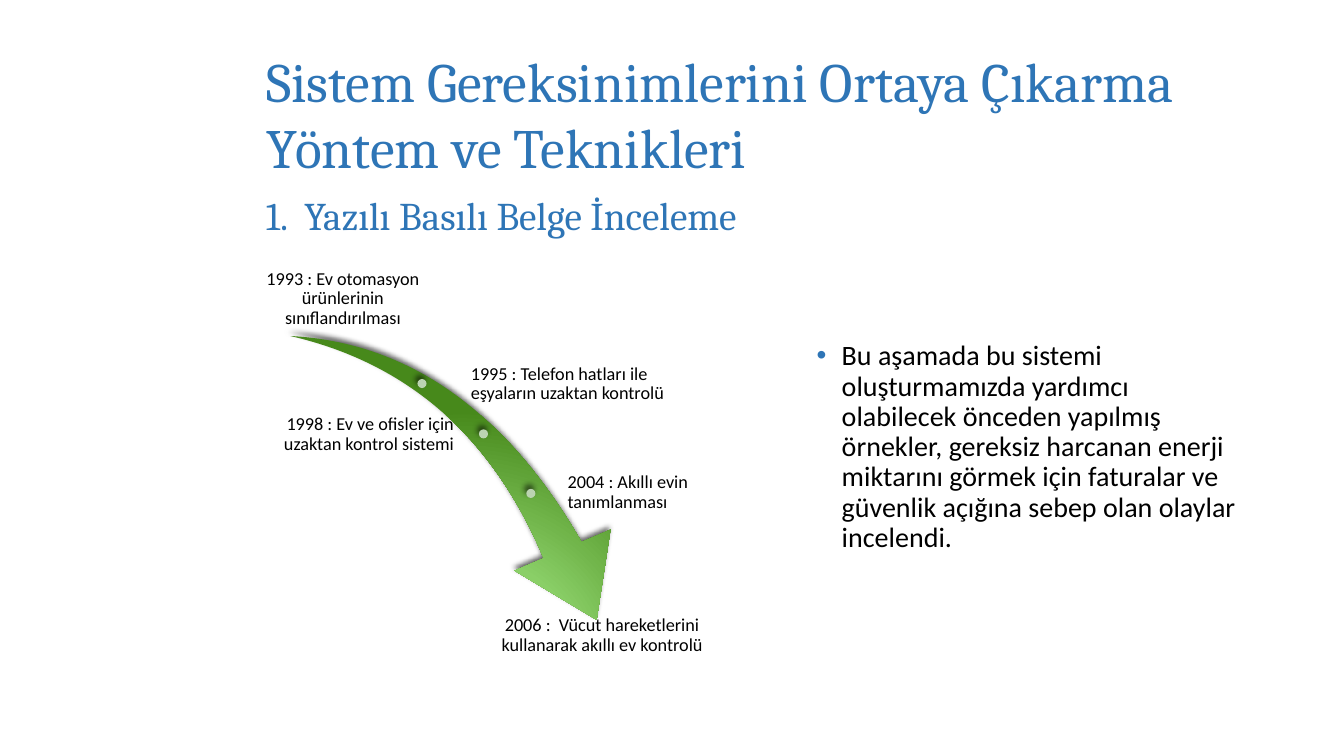
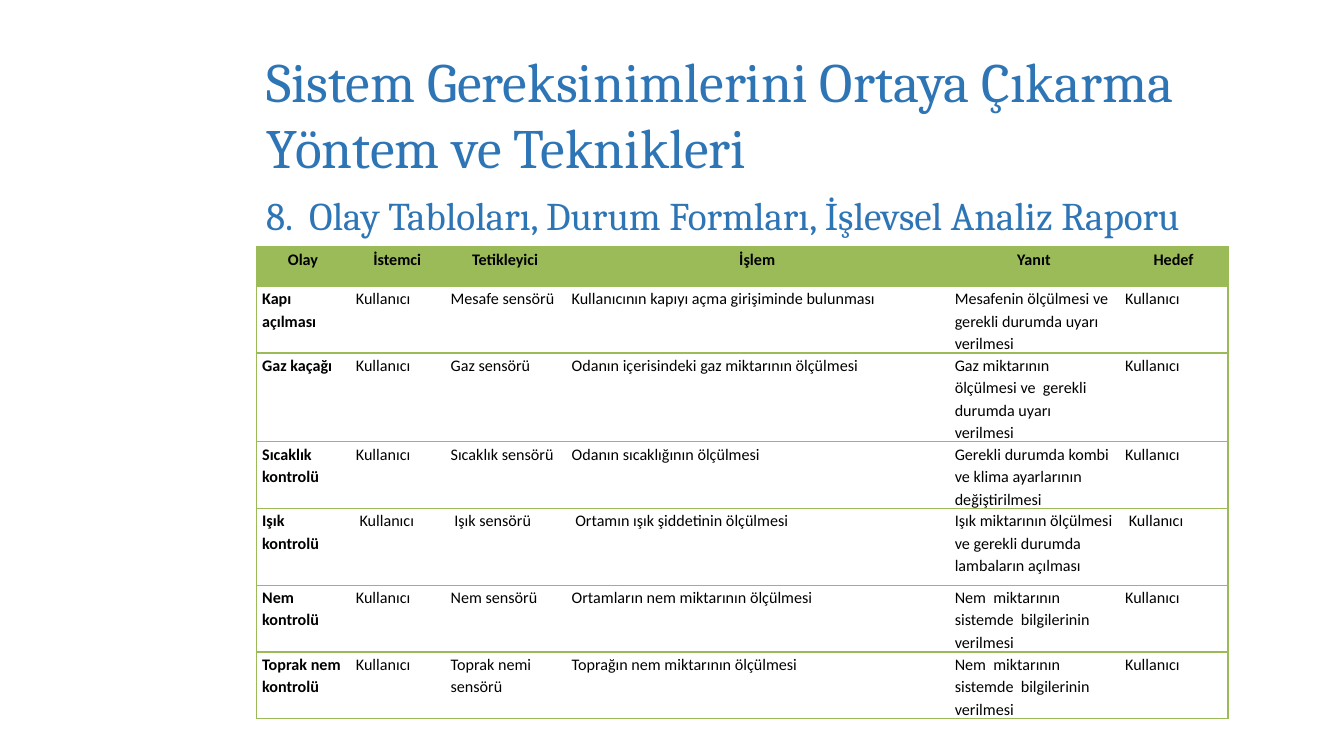
from pptx import Presentation
from pptx.dml.color import RGBColor as RGB
from pptx.enum.shapes import MSO_SHAPE as SHAPE
from pptx.enum.text import MSO_ANCHOR as ANCHOR, PP_ALIGN as ALIGN
from pptx.oxml import parse_xml
from pptx.oxml.ns import nsdecls, qn
from pptx.util import Inches, Pt

COLORS = {"blue": "2E75B6", "black": "000000", "green": "9BBB59", "dot": "BBD3B1"}
FADE = [(0, "B7DDA7"), (46, "8ACF67"), (100, "47891B")]
HEAD, BODY = "Cambria", "Calibri"

TITLE = "Sistem Gereksinimlerini Ortaya Çıkarma Yöntem ve Teknikleri"
SUBS = [
    ("1.  Yazılı Basılı Belge İnceleme", 5.2),
    ("8.  Olay Tabloları, Durum Formları, İşlevsel Analiz Raporu", 9.88),
]
# text, left, top, width, alignment, anchor
EVENTS = [
    ("1993 : Ev otomasyon ürünlerinin sınıflandırılması",
     2.56, 2.62, 1.68, ALIGN.CENTER, ANCHOR.BOTTOM),
    ("1995 : Telefon hatları ile eşyaların uzaktan kontrolü",
     4.65, 3.48, 2.46, ALIGN.LEFT, ANCHOR.MIDDLE),
    ("1998 : Ev ve ofisler için uzaktan kontrol sistemi",
     2.56, 3.98, 1.96, ALIGN.RIGHT, ANCHOR.MIDDLE),
    ("2004 : Akıllı evin tanımlanması",
     5.61, 4.56, 1.5, ALIGN.LEFT, ANCHOR.MIDDLE),
    ("2006 :  Vücut hareketlerini kullanarak akıllı ev kontrolü",
     4.83, 6.09, 2.28, ALIGN.CENTER, ANCHOR.TOP),
]
DOTS = [(4.14, 3.76), (4.75, 4.26), (5.22, 4.85)]
NOTE = ("Bu aşamada bu sistemi oluşturmamızda yardımcı olabilecek önceden "
        "yapılmış örnekler, gereksiz harcanan enerji miktarını görmek için "
        "faturalar ve güvenlik açığına sebep olan olaylar incelendi.")

USER = "Kullanıcı"
ROWS = [
    ("Olay", "İstemci", "Tetikleyici", "İşlem", "Yanıt", "Hedef"),
    ("Kapı açılması", USER, "Mesafe sensörü",
     "Kullanıcının kapıyı açma girişiminde bulunması",
     "Mesafenin ölçülmesi ve gerekli durumda uyarı verilmesi", USER),
    ("Gaz kaçağı", USER, "Gaz sensörü",
     "Odanın içerisindeki gaz miktarının ölçülmesi",
     "Gaz miktarının ölçülmesi ve  gerekli durumda uyarı verilmesi", USER),
    ("Sıcaklık kontrolü", USER, "Sıcaklık sensörü",
     "Odanın sıcaklığının ölçülmesi",
     "Gerekli durumda kombi ve klima ayarlarının değiştirilmesi", USER),
    ("Işık kontrolü", "\u00a0" + USER, "\u00a0Işık sensörü",
     "\u00a0Ortamın ışık şiddetinin ölçülmesi",
     "Işık miktarının ölçülmesi ve gerekli durumda lambaların açılması",
     "\u00a0" + USER),
    ("Nem kontrolü", USER, "Nem sensörü",
     "Ortamların nem miktarının ölçülmesi",
     "Nem  miktarının sistemde  bilgilerinin verilmesi", USER),
    ("Toprak nem kontrolü", USER, "Toprak nemi sensörü",
     "Toprağın nem miktarının ölçülmesi",
     "Nem  miktarının sistemde  bilgilerinin verilmesi", USER),
]
WIDTHS = [0.93, 0.94, 1.2, 3.8, 1.69, 1.08]
HEIGHTS = [0.39, 0.61, 0.61, 0.61, 0.76, 0.61, 0.61]


def rgb(name):
    """Look up a named colour."""
    return RGB.from_string(COLORS[name])


def style(para, size, font=BODY, color="black", bold=False,
          align=ALIGN.LEFT, line=0.9, before=0, after=0):
    """Set the spacing of a paragraph and the look of its runs."""
    para.alignment, para.line_spacing = align, line
    para.space_before, para.space_after = Pt(before), Pt(after)
    for run in para.runs:
        run.font.size, run.font.name, run.font.bold = Pt(size), font, bold
        run.font.color.rgb = rgb(color)


def write(slide, text, box, size, anchor=ANCHOR.TOP, inset=None, **look):
    """Add a wrapped text box and return its paragraph."""
    frame = slide.shapes.add_textbox(*map(Inches, box)).text_frame
    frame.word_wrap, frame.vertical_anchor = True, anchor
    if inset is not None:
        frame.margin_left = frame.margin_right = Inches(inset)
        frame.margin_top = frame.margin_bottom = Inches(inset)
    frame.text = text
    para = frame.paragraphs[0]
    style(para, size, **look)
    return para


def start(deck, sub, width):
    """Add a slide with the shared title and its own subtitle."""
    slide = deck.slides.add_slide(deck.slide_layouts[6])
    write(slide, TITLE, (2.54, 0.4, 9.88, 1.45), 39.6, ANCHOR.MIDDLE,
          font=HEAD, color="blue", line=1.0)
    write(slide, sub, (2.54, 1.9, width, 0.66), 28,
          font=HEAD, color="blue", before=8.4)
    return slide


def shade(slide, kind, box, blur, dist):
    """Add an unlined shape with a soft shadow."""
    shape = slide.shapes.add_shape(kind, *map(Inches, box))
    shape.line.fill.background()
    shape.shadow.inherit = False
    shape._element.spPr.find(qn("a:effectLst")).append(parse_xml(
        f'<a:outerShdw {nsdecls("a")} blurRad="{Pt(blur)}" dist="{Pt(dist)}" '
        f'dir="{245 * 60000}"><a:srgbClr val="{COLORS["black"]}">'
        '<a:alpha val="60000"/></a:srgbClr></a:outerShdw>'))
    return shape


def fade(shape):
    """Fill a shape with the round green gradient."""
    shape.fill.background()
    props = shape._element.spPr
    stops = "".join(f'<a:gs pos="{pos * 1000}"><a:srgbClr val="{tone}"/></a:gs>'
                    for pos, tone in FADE)
    props.replace(props.find(qn("a:noFill")), parse_xml(
        f'<a:gradFill {nsdecls("a")} rotWithShape="1"><a:gsLst>{stops}</a:gsLst>'
        '<a:path path="circle"><a:fillToRect l="50000" t="155000" r="50000" '
        'b="-55000"/></a:path></a:gradFill>'))


def bullet(para):
    """Give a paragraph a blue bullet and a hanging indent."""
    props = para._p.get_or_add_pPr()
    props.set("marL", str(Inches(0.25)))
    props.set("indent", str(-Inches(0.25)))
    for body in (f'buClr {nsdecls("a")}><a:srgbClr val="{COLORS["blue"]}"/></a:buClr>',
                 f'buFont {nsdecls("a")} typeface="Arial"/>',
                 f'buChar {nsdecls("a")} char="•"/>'):
        props.append(parse_xml("<a:" + body))


def border(cell, sides):
    """Draw the named sides of a cell and clear the others."""
    props = cell._tc.get_or_add_tcPr()
    for side in "LRTB":
        ink = (f'<a:solidFill><a:srgbClr val="{COLORS["green"]}"/></a:solidFill>'
               if side in sides else "<a:noFill/>")
        props.append(parse_xml(
            f'<a:ln{side} {nsdecls("a")} w="{Pt(1)}">{ink}</a:ln{side}>'))


def grid(slide):
    """Add the event table."""
    table = slide.shapes.add_table(
        len(ROWS), len(WIDTHS), Inches(2.54), Inches(2.45),
        Inches(sum(WIDTHS)), Inches(sum(HEIGHTS))).table
    table.first_row = table.horz_banding = False
    for col, width in zip(table.columns, WIDTHS):
        col.width = Inches(width)
    last = len(WIDTHS) - 1
    for r, (row, height) in enumerate(zip(ROWS, HEIGHTS)):
        table.rows[r].height = Inches(height)
        for c, text in enumerate(row):
            cell = table.cell(r, c)
            cell.margin_left = cell.margin_right = Inches(0.06)
            cell.margin_top = cell.margin_bottom = 0
            cell.text_frame.text = text
            style(cell.text_frame.paragraphs[0], 11.5, bold=r == 0 or c == 0,
                  align=ALIGN.LEFT if r else ALIGN.CENTER, line=1.15, after=10)
            border(cell, "TB" + {0: "L", last: "R"}.get(c, ""))
            if r:
                cell.fill.background()
            else:
                cell.fill.solid()
                cell.fill.fore_color.rgb = rgb("green")


def trend(slide):
    """Add the curved arrow with its dots, events and note."""
    arrow = shade(slide, SHAPE.SWOOSH_ARROW, (2.8, 3.44, 3.57, 2.49), 4, 3)
    arrow.rotation = 73.3
    arrow.adjustments[0], arrow.adjustments[1] = 0.163, 0.314
    fade(arrow)
    for left, top in DOTS:
        dot = shade(slide, SHAPE.OVAL, (left, top, 0.09, 0.09), 4.2, 3.2)
        dot.fill.solid()
        dot.fill.fore_color.rgb = rgb("dot")
    for text, left, top, width, align, anchor in EVENTS:
        write(slide, text, (left, top, width, 0.66), 13, anchor, 0.02,
              align=align, after=4.55)
    bullet(write(slide, NOTE, (8, 3.34, 4.42, 2.27), 20, before=6))


deck = Presentation()
deck.slide_width, deck.slide_height = Inches(13.33), Inches(7.5)
for (sub, width), fill in zip(SUBS, (trend, grid)):
    fill(start(deck, sub, width))
deck.save("out.pptx")
